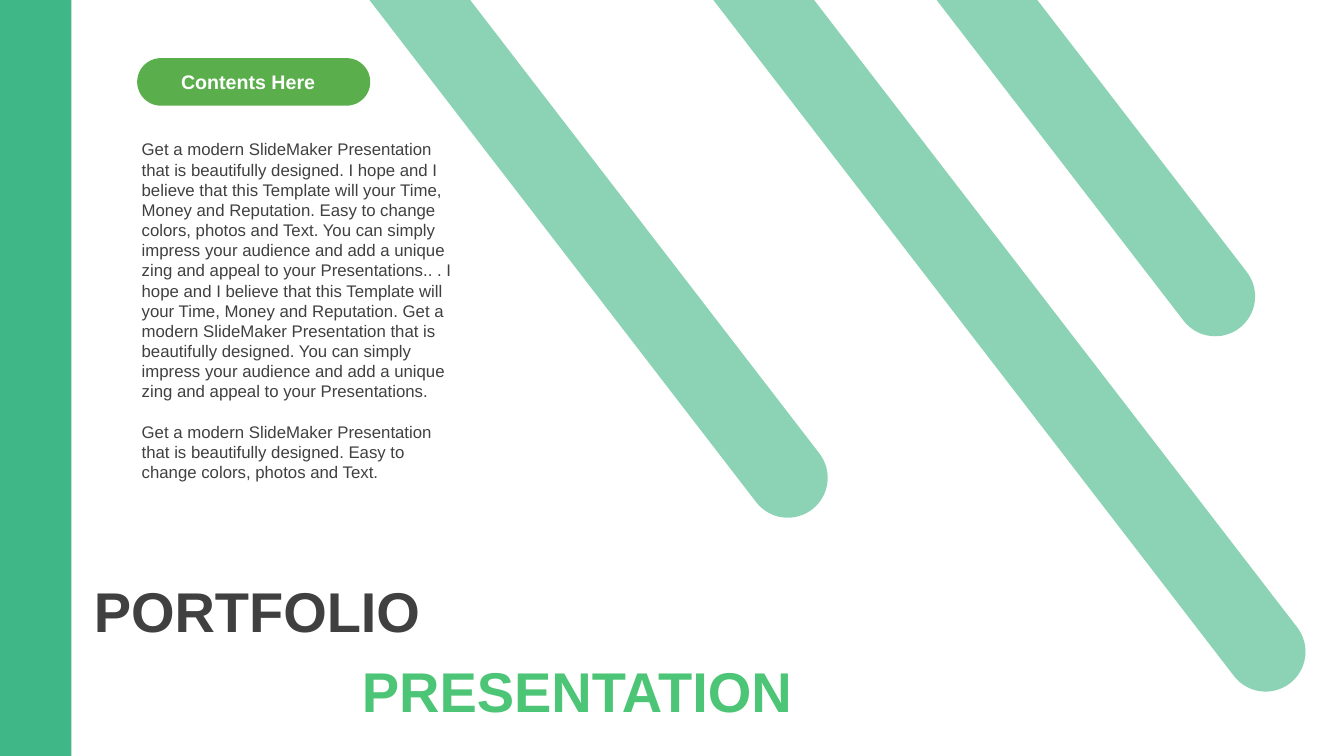
"""Build the portfolio presentation slide with its diagonal stripes."""
import math
from dataclasses import dataclass

from lxml import etree
from pptx import Presentation
from pptx import util as u
from pptx.dml.color import RGBColor
from pptx.enum import shapes, text
from pptx.oxml.ns import qn

COLOURS = {
    "stripe": "40B786",
    "pill": "5AAE4C",
    "dark": "404040",
    "accent": "4CC576",
    "white": "FFFFFF",
}
FONT = "Arial"
TILT = math.radians(37.6)
RADIUS = 28.5
ARC_STEPS = 32
LINE_HEIGHT = 14.4
STORY = (
    "Get a modern SlideMaker Presentation that is beautifully designed. "
    "I hope and I believe that this Template will your Time, Money and Reputation. "
    "Easy to change colors, photos and Text. You can simply impress your audience "
    "and add a unique zing and appeal to your Presentations.. . "
    "I hope and I believe that this Template will your Time, Money and Reputation. "
    "Get a modern SlideMaker Presentation that is beautifully designed. "
    "You can simply impress your audience and add a unique zing and appeal "
    "to your Presentations.",
    "Get a modern SlideMaker Presentation that is beautifully designed. "
    "Easy to change colors, photos and Text.",
)


@dataclass(frozen=True)
class Stripe:
    """A stripe from the top edge to a round end centred at x, y."""

    x: float
    y: float

    def outline(self) -> list[tuple[int, int]]:
        """Return the corner points, clipped at the top of the page."""
        arc = []
        for step in range(ARC_STEPS + 1):
            angle = math.pi * step / ARC_STEPS - TILT
            arc.append((self.x + RADIUS * math.cos(angle),
                        self.y + RADIUS * math.sin(angle)))
        top = [(x - y * math.tan(TILT), 0) for x, y in (arc[-1], arc[0])]
        return [(u.Pt(x), u.Pt(y)) for x, y in top + arc]


@dataclass(frozen=True)
class Headline:
    """One word of the two-part headline."""

    words: str
    left: float
    top: float
    colour: str


STRIPES = (Stripe(868, 211.7), Stripe(904, 465.5), Stripe(562.7, 341.3))
HEADLINES = (
    Headline("PORTFOLIO", 67, 407.5, "dark"),
    Headline("PRESENTATION", 258.5, 464.5, "accent"),
)


def rgb(name: str) -> RGBColor:
    """Look up a named colour."""
    return RGBColor.from_string(COLOURS[name])


def paint(shape, colour: str) -> None:
    """Give a shape a flat fill with no line or shadow."""
    shape.shadow.inherit = False
    shape.fill.solid()
    shape.fill.fore_color.rgb = rgb(colour)
    shape.line.fill.background()


def place(shape, left: float, top: float, width: float, height: float) -> None:
    """Move and size a shape in points."""
    shape.left, shape.top = u.Pt(left), u.Pt(top)
    shape.width, shape.height = u.Pt(width), u.Pt(height)


def set_frame(frame, anchor, left: float = 7.2, right: float = 7.2) -> None:
    """Set wrapping, anchor and insets of a text frame."""
    frame.word_wrap = True
    frame.auto_size = text.MSO_AUTO_SIZE.NONE
    frame.vertical_anchor = anchor
    frame.margin_left, frame.margin_right = u.Pt(left), u.Pt(right)
    frame.margin_top = frame.margin_bottom = u.Pt(3.6)


def add_span(para, words: str, size: float, colour: str, bold: bool = False) -> None:
    """Append a formatted run to a paragraph."""
    span = para.add_run()
    span.text = words
    span.font.name = FONT
    span.font.size = u.Pt(size)
    span.font.bold = bold
    span.font.color.rgb = rgb(colour)


def draw_stripes(page) -> None:
    """Draw all stripes as one translucent outline."""
    first, *others = (stripe.outline() for stripe in STRIPES)
    builder = page.shapes.build_freeform(*first[0])
    builder.add_line_segments(first[1:])
    for points in others:
        builder.move_to(*points[0])
        builder.add_line_segments(points[1:])
    shape = builder.convert_to_shape()
    paint(shape, "stripe")
    colour = shape.fill._xPr.find(qn("a:solidFill"))[0]
    etree.SubElement(colour, qn("a:alpha"), val="60000")


def draw_headline(box, headline: Headline) -> None:
    """Place and fill one headline box."""
    place(box, headline.left, headline.top, 346.3, 57)
    set_frame(box.text_frame, text.MSO_ANCHOR.MIDDLE, left=0)
    para = box.text_frame.paragraphs[0]
    para.alignment = text.PP_ALIGN.JUSTIFY
    add_span(para, headline.words, 40, headline.colour, bold=True)


def draw_pill(page) -> None:
    """Draw the rounded contents label."""
    pill = page.shapes.add_shape(
        shapes.MSO_SHAPE.ROUNDED_RECTANGLE,
        u.Pt(98), u.Pt(41.5), u.Pt(166.5), u.Pt(34))
    pill.adjustments[0] = 0.5
    paint(pill, "pill")
    set_frame(pill.text_frame, text.MSO_ANCHOR.MIDDLE, right=15)
    para = pill.text_frame.paragraphs[0]
    para.alignment = text.PP_ALIGN.CENTER
    add_span(para, "Contents Here", 14, "white", bold=True)


def draw_story(box) -> None:
    """Fill the body placeholder with unbulleted paragraphs."""
    place(box, 94, 95.8, 242, 254)
    frame = box.text_frame
    set_frame(frame, text.MSO_ANCHOR.TOP)
    for index, words in enumerate(STORY):
        para = frame.add_paragraph() if index else frame.paragraphs[0]
        properties = para._p.get_or_add_pPr()
        properties.set("marL", "0")
        properties.set("indent", "0")
        etree.SubElement(properties, qn("a:buNone"))
        para.alignment = text.PP_ALIGN.LEFT
        para.line_spacing = u.Pt(LINE_HEIGHT)
        para.space_before = u.Pt(LINE_HEIGHT if index else 0)
        add_span(para, words, 12, "dark")


def main() -> None:
    """Build and save the deck."""
    deck = Presentation()
    deck.slide_width, deck.slide_height = u.Pt(960), u.Pt(540)
    page = deck.slides.add_slide(deck.slide_layouts[1])
    band = page.shapes.add_shape(
        shapes.MSO_SHAPE.RECTANGLE, 0, 0, u.Pt(51), deck.slide_height)
    paint(band, "stripe")
    draw_stripes(page)
    second = page.shapes.add_textbox(0, 0, 0, 0)
    for box, headline in zip((page.shapes.title, second), HEADLINES):
        draw_headline(box, headline)
    draw_pill(page)
    draw_story(page.placeholders[1])
    deck.save("out.pptx")


if __name__ == "__main__":
    main()
